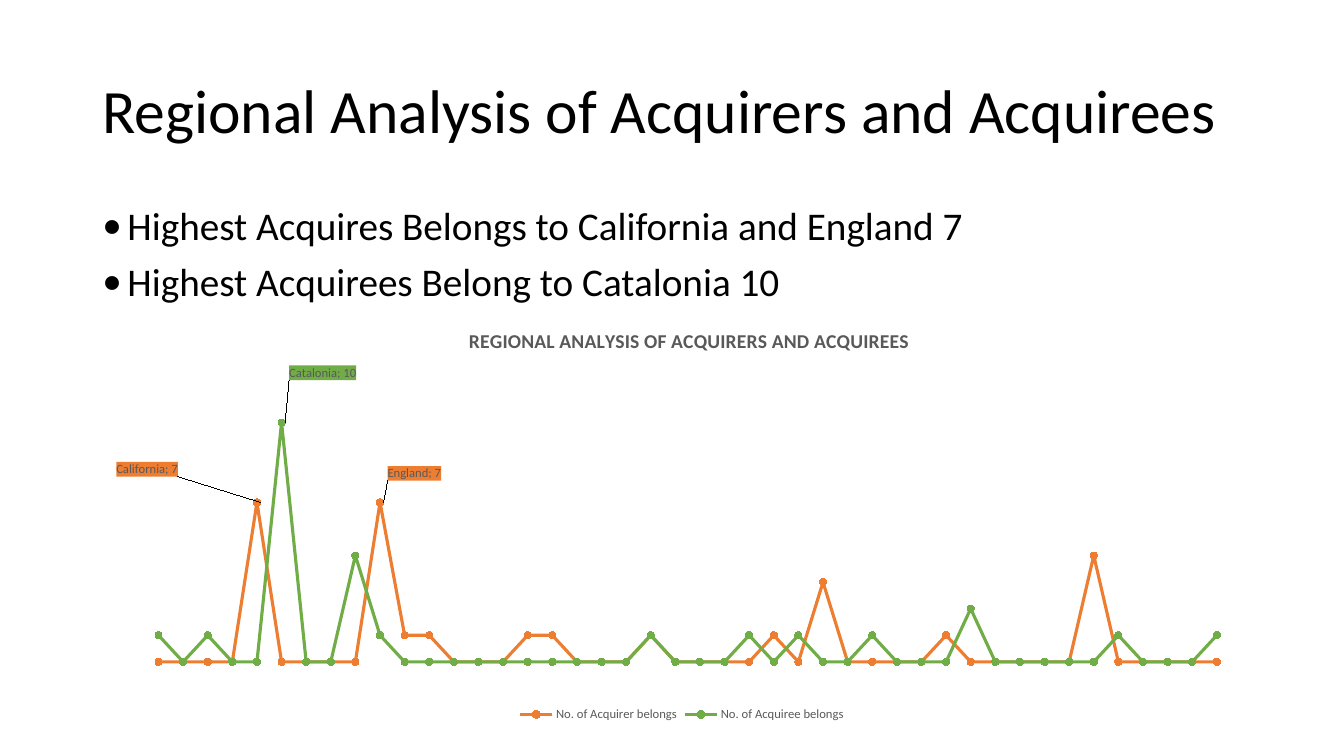
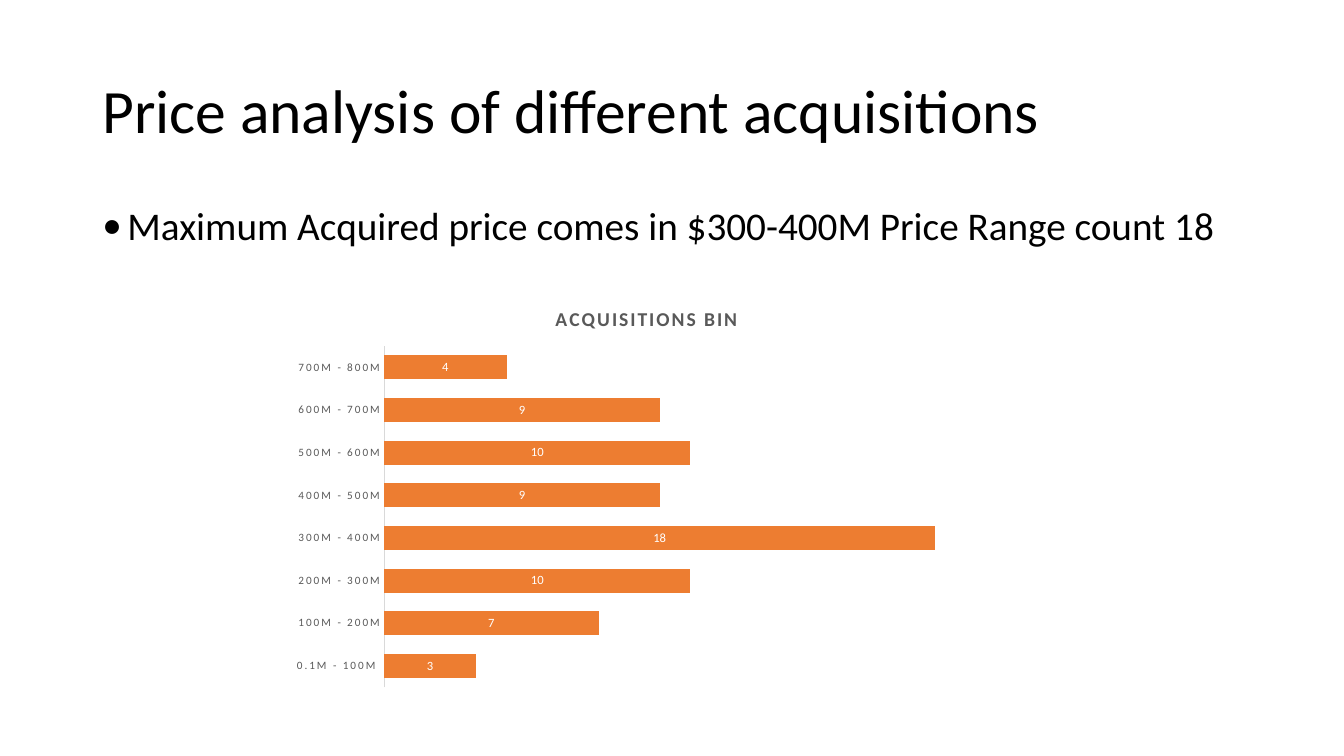
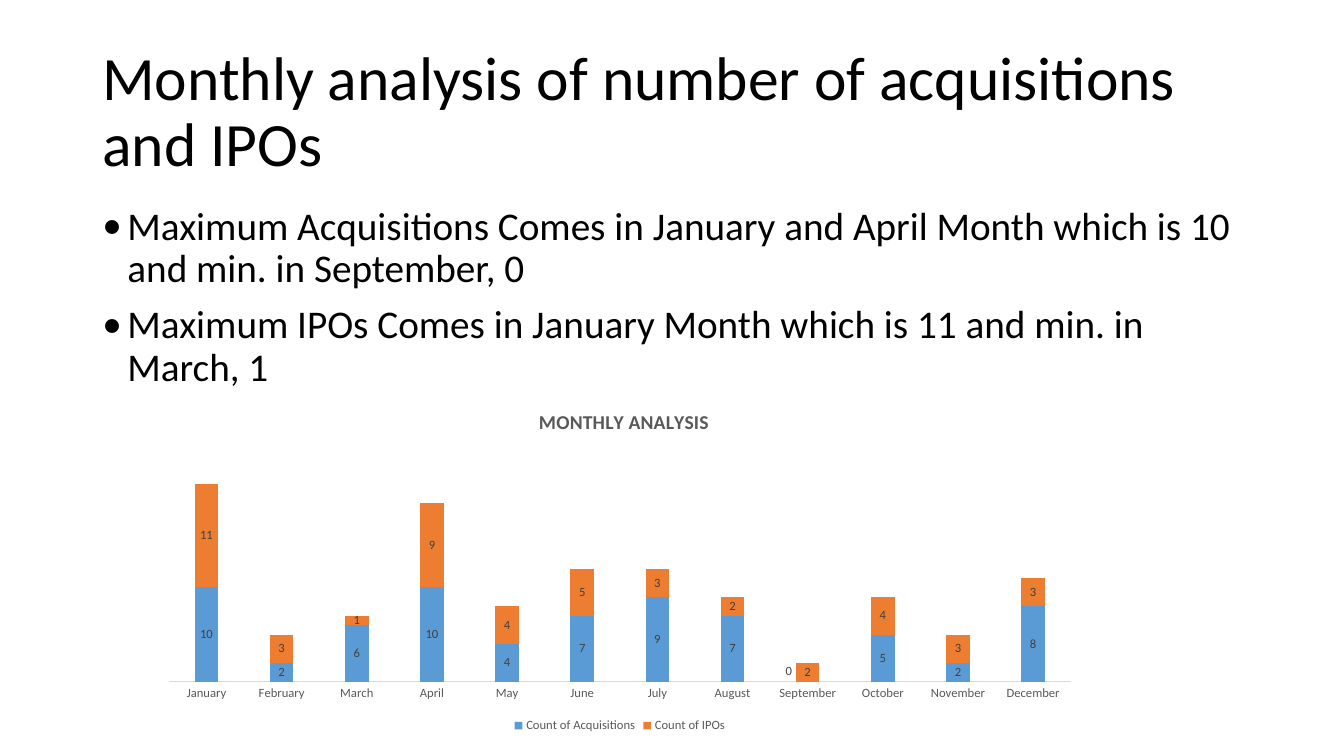
from dataclasses import dataclass

from pptx import Presentation
from pptx.chart.data import CategoryChartData
from pptx.dml.color import RGBColor
from pptx.enum.chart import XL_CHART_TYPE as ChartType
from pptx.enum.chart import XL_LABEL_POSITION as LabelPosition
from pptx.enum.chart import XL_LEGEND_POSITION as LegendPosition
from pptx.enum.chart import XL_MARKER_STYLE as MarkerStyle
from pptx.enum.chart import XL_TICK_MARK as TickMark
from pptx.enum.text import MSO_ANCHOR as Anchor
from pptx.oxml import parse_xml
from pptx.oxml.ns import nsdecls, qn
from pptx.util import Pt


@dataclass(frozen=True)
class Theme:
    """Colours and type sizes of the deck."""

    font: str = "Calibri"
    black: str = "000000"
    grey: str = "595959"
    dark: str = "404040"
    rule: str = "D9D9D9"
    white: str = "FFFFFF"
    orange: str = "ED7D31"
    green: str = "70AD47"
    blue: str = "5B9BD5"
    heading: int = 44
    body: int = 28
    chart_title: int = 14
    chart: int = 10
    label: int = 9
    small: int = 8
    tracking: int = 130


THEME = Theme()
HEADING_BOX = (66, 28.75, 828, 104.4)
BULLET_BOX = (66, 143.75, 828, 342.6)


def style_font(font, size, color, bold=False):
    """Set face, size, weight and colour of a font."""
    font.name, font.size, font.bold = THEME.font, Pt(size), bold
    font.color.rgb = RGBColor.from_string(color)


def paint(fill, color):
    """Make a fill solid in one colour."""
    fill.solid()
    fill.fore_color.rgb = RGBColor.from_string(color)


def add_text(slide, box, lines, size, anchor=Anchor.TOP):
    """Add a wrapped text frame and return its paragraphs."""
    frame = slide.shapes.add_textbox(*map(Pt, box)).text_frame
    frame.word_wrap, frame.vertical_anchor = True, anchor
    frame.text = "\n".join(lines)
    for paragraph in frame.paragraphs:
        paragraph.line_spacing = 0.9
        style_font(paragraph.font, size, THEME.black)
    return frame.paragraphs


def add_bullets(slide, box, points):
    """Add the bulleted findings."""
    for paragraph in add_text(slide, box, points, THEME.body):
        paragraph.space_before = Pt(10)
        properties = paragraph._p.get_or_add_pPr()
        properties.set("marL", str(Pt(18)))
        properties.set("indent", str(-Pt(18)))
        for mark in (f'buFont {nsdecls("a")} typeface="{THEME.font}"',
                     f'buChar {nsdecls("a")} char="•"'):
            properties.insert_element_before(
                parse_xml(f"<a:{mark}/>"), "a:tabLst", "a:defRPr", "a:extLst")


def layout_xml(inner=False, edge=True, **fractions):
    """Return a manual chart layout."""
    target = '<c:layoutTarget val="inner"/>' if inner else ""
    modes = '<c:xMode val="edge"/><c:yMode val="edge"/>' if edge else ""
    values = "".join(f'<c:{key} val="{value}"/>' for key, value in fractions.items())
    return (f'<c:layout {nsdecls("c")}><c:manualLayout>{target}{modes}{values}'
            "</c:manualLayout></c:layout>")


def set_layout(parent, position, xml):
    """Replace the layout of a chart part."""
    for old in parent.findall(qn("c:layout")):
        parent.remove(old)
    parent.insert(position, parse_xml(xml))


def add_chart(slide, box, kind, title, title_at, plot_at, top, categories, series):
    """Add a titled chart without a visible value axis."""
    data = CategoryChartData()
    data.categories = categories
    for name, values in series:
        data.add_series(name, values)
    chart = slide.shapes.add_chart(kind, *map(Pt, box), data).chart
    style_font(chart.font, THEME.chart, THEME.black)
    chart.has_title = True
    frame = chart.chart_title.text_frame
    frame.text = title
    style_font(frame.paragraphs[0].runs[0].font, THEME.chart_title, THEME.grey, True)
    chart.chart_title.include_in_layout = False
    set_layout(chart.element.find(".//" + qn("c:title")), 1,
               layout_xml(**dict(zip("xy", title_at))))
    set_layout(chart.element.find(".//" + qn("c:plotArea")), 0,
               layout_xml(inner=True, **dict(zip("xywh", plot_at))))
    scale = chart.value_axis
    scale.minimum_scale, scale.maximum_scale = 0, top
    scale.has_major_gridlines = scale.visible = False
    chart.has_legend = len(series) > 1
    if chart.has_legend:
        chart.legend.position = LegendPosition.BOTTOM
        chart.legend.include_in_layout = False
        style_font(chart.legend.font, THEME.label, THEME.grey)
    return chart


def style_bars(chart, gap, colors, label_color, axis_size):
    """Colour stacked bars, label their values and style the category axis."""
    plot = chart.plots[0]
    plot.gap_width, plot.overlap, plot.vary_by_categories = gap, 100, False
    for bars, color in zip(plot.series, colors):
        paint(bars.format.fill, color)
        labels = bars.data_labels
        labels.show_value, labels.position = True, LabelPosition.CENTER
        style_font(labels.font, THEME.label, label_color)
    axis = chart.category_axis
    axis.major_tick_mark = axis.minor_tick_mark = TickMark.NONE
    axis.format.line.width = Pt(0.75)
    paint(axis.format.line.fill, THEME.rule)
    style_font(axis.tick_labels.font, axis_size, THEME.grey)


def shift_label(bars, index, x, y, color):
    """Move one value label off its neighbour, without a leader line."""
    label = bars.points[index].data_label
    label.position = LabelPosition.CENTER
    style_font(label.font, THEME.label, color)
    labels = bars._element.find(qn("c:dLbls"))
    set_layout(labels.find(qn("c:dLbl")), 1, layout_xml(edge=False, x=x, y=y))
    for leader in labels.findall(qn("c:showLeaderLines")):
        leader.set("val", "0")


def style_line(line, color):
    """Colour a line and its round markers."""
    line.smooth = False
    line.format.line.width = Pt(2.25)
    paint(line.format.line.fill, color)
    line.marker.style, line.marker.size = MarkerStyle.CIRCLE, 5
    paint(line.marker.format.fill, color)
    paint(line.marker.format.line.fill, color)


def flags_xml(shown):
    """Return the switches of a data label."""
    on = {"Val": shown, "CatName": shown}
    names = ("LegendKey", "Val", "CatName", "SerName", "Percent", "BubbleSize")
    return "".join(f'<c:show{name} val="{on.get(name, 0)}"/>' for name in names)


def add_callouts(line, color, offsets):
    """Label peaks with category and value, tied by leader lines."""
    peaks = "".join(
        f'<c:dLbl><c:idx val="{index}"/>{layout_xml(edge=False, x=x, y=y)}'
        f'<c:spPr><a:solidFill><a:srgbClr val="{color}"/></a:solidFill></c:spPr>'
        f'<c:txPr><a:bodyPr/><a:p><a:pPr><a:defRPr sz="{THEME.label * 100}">'
        f'<a:solidFill><a:srgbClr val="{THEME.grey}"/></a:solidFill>'
        f'<a:latin typeface="{THEME.font}"/></a:defRPr></a:pPr></a:p></c:txPr>'
        f'<c:dLblPos val="r"/>{flags_xml(1)}<c:separator>; </c:separator></c:dLbl>'
        for index, (x, y) in offsets.items())
    leaders = ('<c:extLst><c:ext uri="{CE6537A1-D6FC-4f65-9D91-7224C49458BB}" xmlns:c15='
               '"http://schemas.microsoft.com/office/drawing/2012/chart">'
               '<c15:showLeaderLines val="1"/></c:ext></c:extLst>')
    labels = parse_xml(f'<c:dLbls {nsdecls("c", "a")}>{peaks}{flags_xml(0)}{leaders}</c:dLbls>')
    line._element.find(qn("c:cat")).addprevious(labels)


def counts(peaks):
    """Return the 44 regional counts, 1 except at the given places."""
    return [peaks.get(place, 1) for place in range(1, 45)]


def add_regions(slide, box):
    """Add the line chart of regions."""
    named = {5: "California", 6: "Catalonia", 10: "England"}
    regions = [named.get(place, str(place)) for place in range(1, 45)]
    acquirers = counts({5: 7, 10: 7, 11: 2, 12: 2, 16: 2, 17: 2, 21: 2, 26: 2,
                        28: 4, 33: 2, 39: 5})
    acquirees = counts({1: 2, 3: 2, 6: 10, 9: 5, 10: 2, 21: 2, 25: 2, 27: 2,
                        30: 2, 34: 3, 40: 2, 44: 2})
    chart = add_chart(
        slide, box, ChartType.LINE_MARKERS,
        "REGIONAL ANALYSIS OF ACQUIRERS AND ACQUIREES", (0.31, 0.03),
        (0.03, 0.14, 0.95, 0.77), 12, regions,
        [("No. of Acquirer belongs", acquirers), ("No. of Acquiree belongs", acquirees)])
    chart.category_axis.visible = False
    styles = ((THEME.orange, {4: (-0.13, -0.08), 9: (0, -0.07)}),
              (THEME.green, {5: (0, -0.12)}))
    for line, (color, offsets) in zip(chart.plots[0].series, styles):
        style_line(line, color)
        add_callouts(line, color, offsets)


def add_prices(slide, box):
    """Add the bar chart of price ranges."""
    ranges = ["0.1M - 100M "] + [f"{low}00M - {low + 1}00M" for low in range(1, 8)]
    chart = add_chart(
        slide, box, ChartType.BAR_STACKED, "ACQUISITIONS BIN", (0.37, 0.03),
        (0.14, 0.14, 0.84, 0.84), 20, ranges,
        [("Series 1", [3, 7, 10, 18, 9, 10, 9, 4])])
    style_bars(chart, 79, [THEME.orange], THEME.white, THEME.small)
    for run in chart.element.xpath(".//c:title//a:rPr | .//c:catAx//a:defRPr"):
        run.set("spc", str(THEME.tracking))


def add_months(slide, box):
    """Add the column chart of months."""
    months = ["January", "February", "March", "April", "May", "June", "July",
              "August", "September", "October", "November", "December"]
    chart = add_chart(
        slide, box, ChartType.COLUMN_STACKED, "MONTHLY ANALYSIS", (0.41, 0.04),
        (0.02, 0.16, 0.96, 0.68), 25, months,
        [("Count of Acquisitions", [10, 2, 6, 10, 4, 7, 9, 7, 0, 5, 2, 8]),
         ("Count of IPOs", [11, 3, 1, 9, 4, 5, 3, 2, 2, 4, 3, 3])])
    style_bars(chart, 219, [THEME.blue, THEME.orange], THEME.dark, THEME.label)
    acquisitions = chart.plots[0].series[0]
    shift_label(acquisitions, months.index("September"), -0.02, -0.03, THEME.dark)


def add_analysis(deck, heading, points, draw, box):
    """Add a slide with heading, findings and chart."""
    slide = deck.slides.add_slide(deck.slide_layouts[6])
    add_text(slide, HEADING_BOX, [heading], THEME.heading, Anchor.MIDDLE)
    add_bullets(slide, BULLET_BOX, points)
    draw(slide, box)


def main():
    """Build and save the deck."""
    deck = Presentation()
    deck.slide_width, deck.slide_height = Pt(960), Pt(540)
    add_analysis(deck, "Regional Analysis of Acquirers and Acquirees",
                 ["Highest Acquires Belongs to California and England 7",
                  "Highest Acquirees Belong to Catalonia 10"],
                 add_regions, (80, 222.5, 814.3, 296))
    add_analysis(deck, "Price analysis of different acquisitions",
                 ["Maximum Acquired price comes in $300-400M Price Range count 18"],
                 add_prices, (201.6, 206.6, 520.6, 290.2))
    add_analysis(deck, "Monthly analysis of number of acquisitions and IPOs",
                 ["Maximum Acquisitions Comes in January and April Month which is 10 "
                  "and min. in September, 0",
                  "Maximum IPOs Comes in January Month which is 11 and min. in March, 1"],
                 add_months, (107.3, 279.4, 671, 247))
    deck.save("out.pptx")


main()
